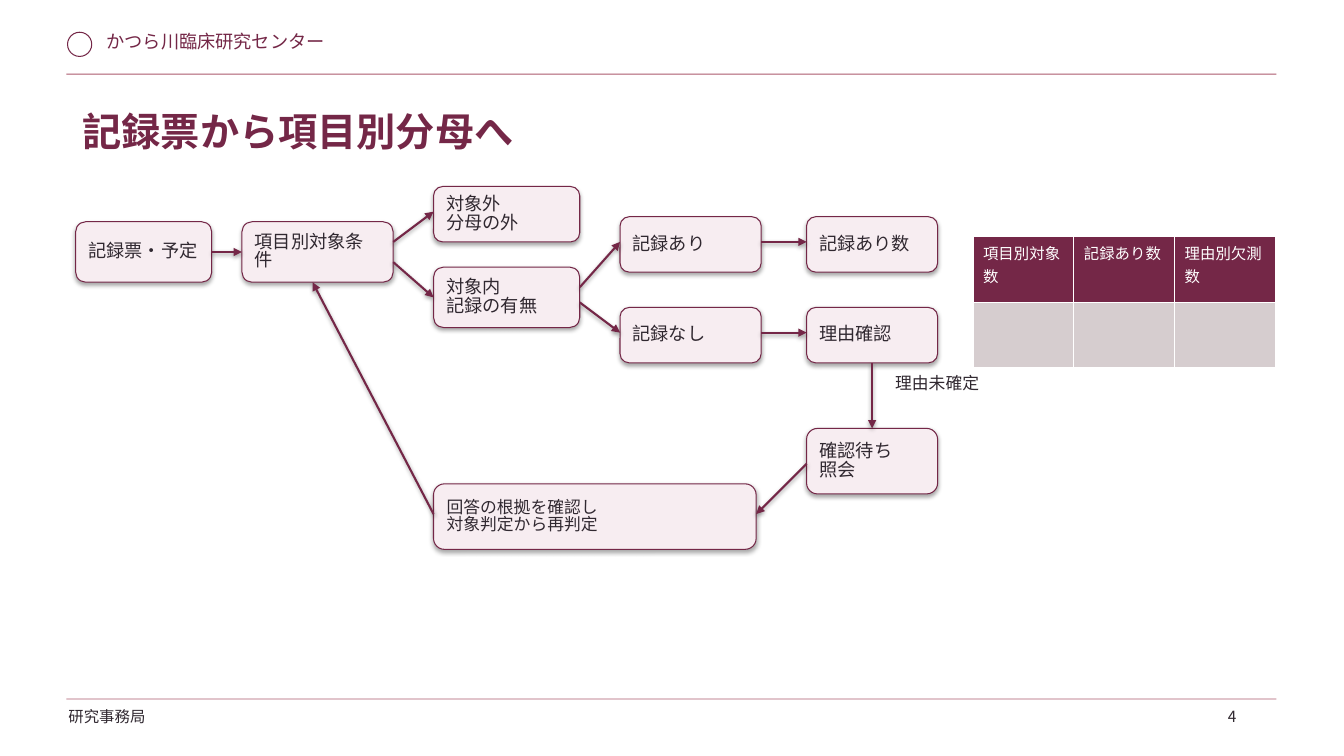
from pptx import Presentation
from pptx.dml.color import RGBColor
from pptx.enum.shapes import MSO_CONNECTOR as Line, MSO_SHAPE as Shape
from pptx.enum.text import MSO_ANCHOR as Anchor, PP_ALIGN as Align
from pptx.oxml.ns import qn
from pptx.util import Emu, Pt
from lxml import etree

# Content: lengths in px, 100 px to the inch
SCALE = 9144
FONT = "Noto Sans CJK JP"
PLUM, ROSE, INK, PALE, GREY, WHITE = (
    "742747", "AB586C", "302830", "F7EDF1", "D6CDCF", "FFFFFF")

TITLE = "記録票から項目別分母へ"
LABELS = [  # text, left, top, width, height, size, colour
    ("かつら川臨床研究センター", 96, 28, 330, 35, 13, PLUM),
    ("研究事務局", 58, 699, 180, 36, 11, INK),
    ("理由未確定", 878, 368, 135, 40, 12, INK),
    ("4", 1208, 699, 50, 30, 11, INK),
]
RULE_TOPS = [73, 693]
STEPS = [  # text, left, top, width, height, size
    ("記録票・予定", 75, 220, 135, 60, 13),
    ("項目別対象条件", 240, 220, 150, 60, 13),
    ("対象外\n分母の外", 430, 185, 145, 55, 13),
    ("対象内\n記録の有無", 430, 265, 145, 60, 13),
    ("記録あり", 615, 215, 140, 55, 13),
    ("記録なし", 615, 305, 140, 55, 13),
    ("記録あり数", 800, 215, 130, 55, 13),
    ("理由確認", 800, 305, 130, 55, 13),
    ("確認待ち\n照会", 800, 425, 130, 65, 13),
    ("回答の根拠を確認し\n対象判定から再判定", 430, 480, 320, 65, 12),
]
ARROWS = [  # start point, end point
    ((210, 250), (240, 250)),
    ((390, 240), (430, 210)),
    ((390, 260), (430, 295)),
    ((575, 285), (615, 240)),
    ((575, 300), (615, 330)),
    ((755, 240), (800, 240)),
    ((755, 330), (800, 330)),
    ((865, 360), (865, 425)),
    ((800, 460), (750, 510)),
    ((430, 510), (310, 280)),
]
TABLE_ROWS = [["項目別対象数", "記録あり数", "理由別欠測数"], ["", "", ""]]
TABLE_AREA = (965, 235, 300, 130)


def px(*lengths):
    return [Emu(length * SCALE) for length in lengths]


def color(value):
    return RGBColor.from_string(value)


def write(frame, text, size=13, ink=INK, bold=False, spacing=0.85, wrap=True,
          anchor=Anchor.TOP):
    frame.word_wrap = wrap
    frame.vertical_anchor = anchor
    for index, line in enumerate(text.split("\n")):
        para = frame.add_paragraph() if index else frame.paragraphs[0]
        para.alignment = Align.LEFT
        para.line_spacing = spacing
        span = para.add_run()
        span.text = line
        span.font.size, span.font.bold = Pt(size), bold
        span.font.color.rgb = color(ink)
        span.font.name = FONT
        etree.SubElement(span.font._element, qn("a:ea")).set("typeface", FONT)


def add_plain(kind, area, fill=None, line=None):
    shape = page.shapes.add_shape(kind, *px(*area))
    shape.shadow.inherit = False
    paint(shape, fill, line)


def paint(shape, fill, line):
    if fill:
        shape.fill.solid()
        shape.fill.fore_color.rgb = color(fill)
    else:
        shape.fill.background()
    if line:
        shape.line.color.rgb = color(line)
        shape.line.width = Pt(0.75)
    else:
        shape.line.fill.background()


deck = Presentation()
deck.slide_width, deck.slide_height = px(1333, 750)
page = deck.slides.add_slide(deck.slide_layouts[5])

# Header mark and rules
add_plain(Shape.OVAL, (67, 32, 24, 24), line=PLUM)
for top in RULE_TOPS:
    add_plain(Shape.RECTANGLE, (66, top, 1200, 1), fill=ROSE)

# Title
title = page.shapes.title
title.left, title.top, title.width, title.height = px(72, 102, 1190, 81)
frame = title.text_frame
frame.margin_left, frame.margin_top, frame.margin_right, frame.margin_bottom = px(
    10, 10, 10, 10)
write(frame, TITLE, size=28, ink=PLUM, bold=True, spacing=0.9)

# Flow steps, remembering the middle of each side
side_middles = {}
for text, left, top, width, height, size in STEPS:
    box = page.shapes.add_shape(Shape.ROUNDED_RECTANGLE, *px(left, top, width, height))
    paint(box, PALE, PLUM)
    write(box.text_frame, text, size=size, anchor=Anchor.MIDDLE)
    center, middle = left + width / 2, top + height / 2
    sides = [(center, top), (left, middle), (center, top + height), (left + width, middle)]
    for side, point in enumerate(sides):
        side_middles[point] = (box, side)

# Arrows, joined where they meet the middle of a side
for start, end in ARROWS:
    arrow = page.shapes.add_connector(Line.STRAIGHT, *px(*start, *end))
    arrow.line.color.rgb = color(PLUM)
    arrow.line.width = Pt(1.5)
    etree.SubElement(arrow.line._get_or_add_ln(), qn("a:tailEnd")).set("type", "triangle")
    if start in side_middles:
        arrow.begin_connect(*side_middles[start])
    if end in side_middles:
        arrow.end_connect(*side_middles[end])

# Header, footer and branch labels
for text, left, top, width, height, size, ink in LABELS:
    box = page.shapes.add_textbox(*px(left, top, width, height))
    write(box.text_frame, text, size=size, ink=ink, wrap=False)

# Count table
table = page.shapes.add_table(len(TABLE_ROWS), len(TABLE_ROWS[0]), *px(*TABLE_AREA)).table
for row, texts in enumerate(TABLE_ROWS):
    for column, text in enumerate(texts):
        cell = table.cell(row, column)
        cell.fill.solid()
        cell.fill.fore_color.rgb = color(GREY if row else PLUM)
        if text:
            write(cell.text_frame, text, size=11, ink=WHITE, spacing=1.0)

deck.save("out.pptx")
